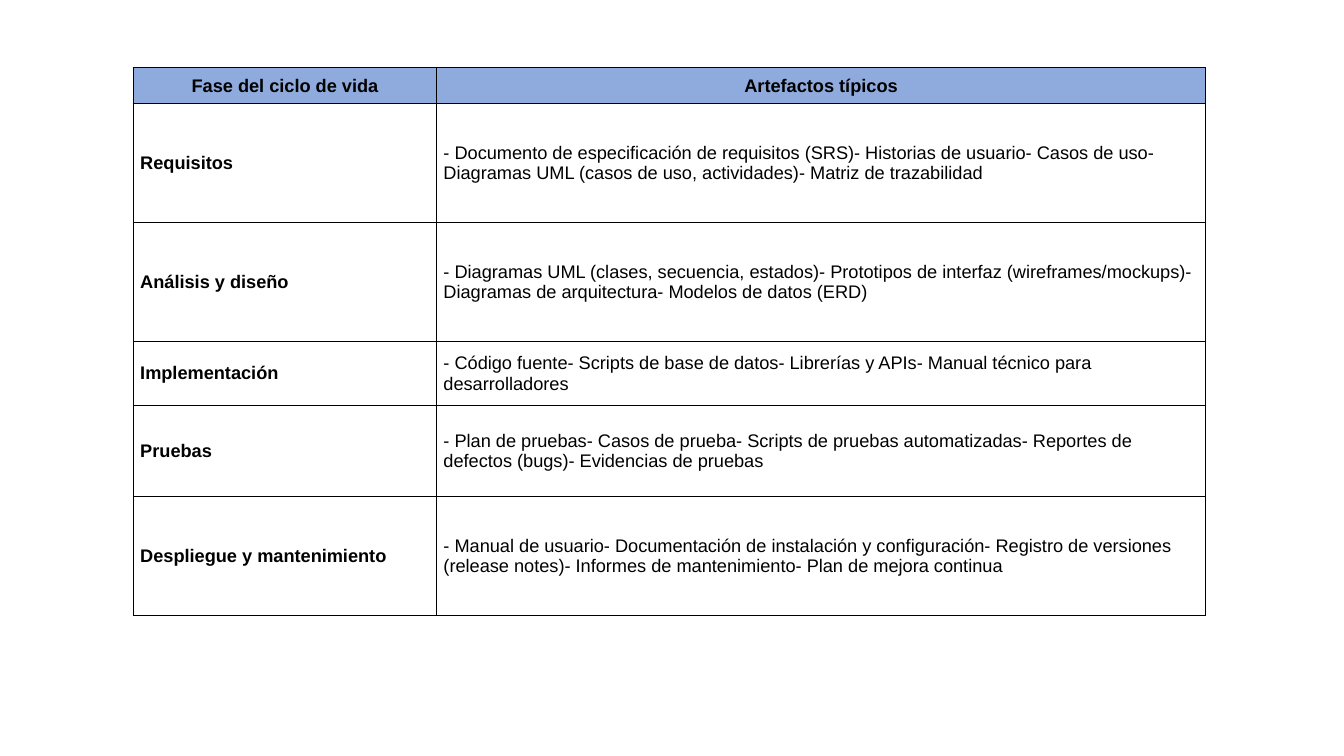
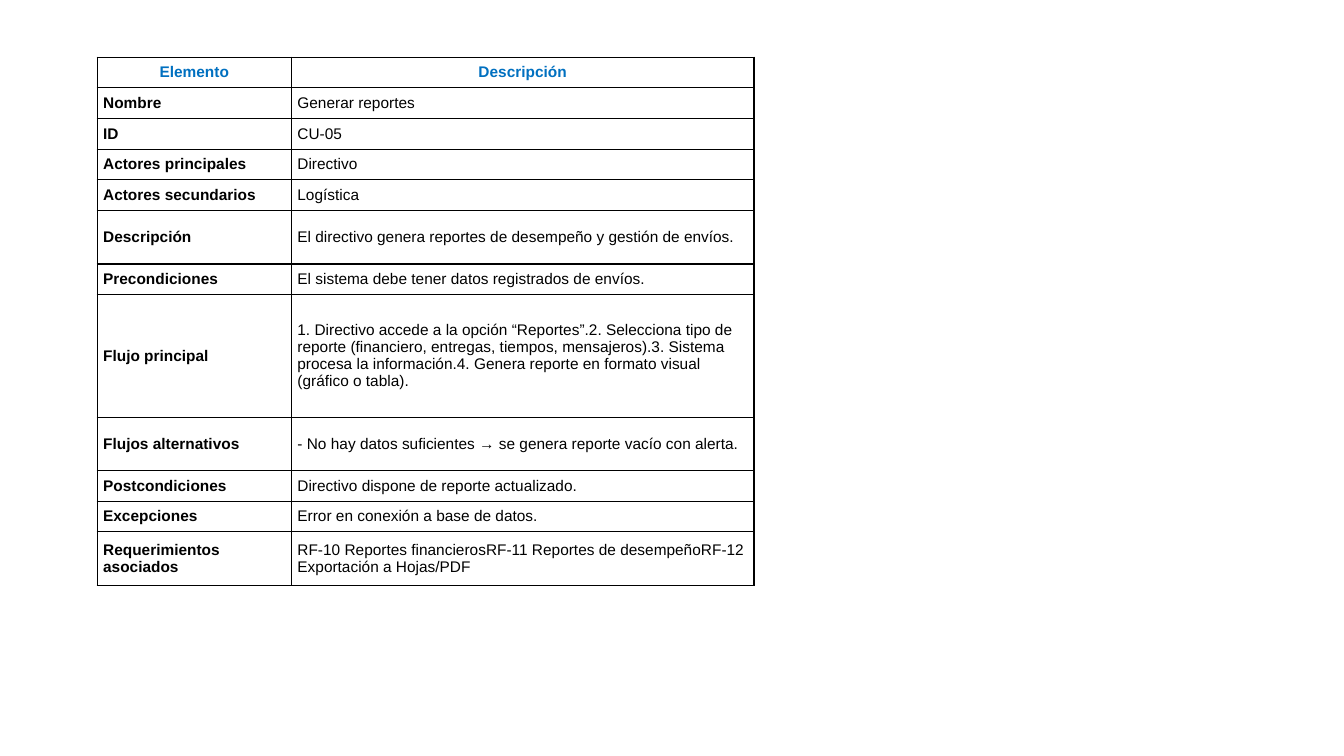
from lxml import etree
from pptx import Presentation
from pptx.dml.color import RGBColor
from pptx.enum.text import MSO_ANCHOR, PP_ALIGN
from pptx.oxml.ns import qn
from pptx.util import Pt

MIDDLE = MSO_ANCHOR.MIDDLE
LEFT, CENTER = PP_ALIGN.LEFT, PP_ALIGN.CENTER

COLORS = {"ink": "000000", "header_band": "8FAADC", "header_text": "0070C0"}
FONT = "Arial"
BORDER = Pt(1)

ARTIFACT_ROWS = [
    (25.9, "Fase del ciclo de vida", "Artefactos típicos"),
    (85, "Requisitos",
     "- Documento de especificación de requisitos (SRS)- Historias de usuario- "
     "Casos de uso- Diagramas UML (casos de uso, actividades)- Matriz de trazabilidad"),
    (85, "Análisis y diseño",
     "- Diagramas UML (clases, secuencia, estados)- Prototipos de interfaz "
     "(wireframes/mockups)- Diagramas de arquitectura- Modelos de datos (ERD)"),
    (45.5, "Implementación",
     "- Código fuente- Scripts de base de datos- Librerías y APIs- Manual técnico "
     "para desarrolladores"),
    (65.2, "Pruebas",
     "- Plan de pruebas- Casos de prueba- Scripts de pruebas automatizadas- "
     "Reportes de defectos (bugs)- Evidencias de pruebas"),
    (85, "Despliegue y mantenimiento",
     "- Manual de usuario- Documentación de instalación y configuración- Registro "
     "de versiones (release notes)- Informes de mantenimiento- Plan de mejora continua"),
]

ONE_LINE, TWO_LINES, FLOW = 21.9, 38.2, 87.6
USE_CASE_ROWS = [
    (ONE_LINE, "Elemento", "Descripción"),
    (ONE_LINE, "Nombre", "Generar reportes"),
    (ONE_LINE, "ID", "CU-05"),
    (ONE_LINE, "Actores principales", "Directivo"),
    (ONE_LINE, "Actores secundarios", "Logística"),
    (TWO_LINES, "Descripción",
     "El directivo genera reportes de desempeño y gestión de envíos."),
    (ONE_LINE, "Precondiciones", "El sistema debe tener datos registrados de envíos."),
    (FLOW, "Flujo principal",
     "1. Directivo accede a la opción “Reportes”.2. Selecciona tipo de reporte "
     "(financiero, entregas, tiempos, mensajeros).3. Sistema procesa la "
     "información.4. Genera reporte en formato visual (gráfico o tabla)."),
    (TWO_LINES, "Flujos alternativos",
     "- No hay datos suficientes → se genera reporte vacío con alerta."),
    (ONE_LINE, "Postcondiciones", "Directivo dispone de reporte actualizado."),
    (ONE_LINE, "Excepciones", "Error en conexión a base de datos."),
    (TWO_LINES, "Requerimientos asociados",
     "RF-10 Reportes financierosRF-11 Reportes de desempeñoRF-12 Exportación a "
     "Hojas/PDF"),
]


def rgb(name):
    return RGBColor.from_string(COLORS[name])


def set_fill(cell, color):
    if color:
        cell.fill.solid()
        cell.fill.fore_color.rgb = rgb(color)
    else:
        cell.fill.background()


def set_borders(cell):
    """Draw all four sides; the schema wants them ahead of the cell fill."""
    properties = cell._tc.get_or_add_tcPr()
    for position, side in enumerate(("a:lnL", "a:lnR", "a:lnT", "a:lnB")):
        line = etree.Element(qn(side), w=str(BORDER))
        fill = etree.SubElement(line, qn("a:solidFill"))
        etree.SubElement(fill, qn("a:srgbClr"), val=COLORS["ink"])
        properties.insert(position, line)


def write_cell(cell, text, size, color, bold, align, insets):
    cell.vertical_anchor = MIDDLE
    cell.margin_left = cell.margin_right = Pt(insets[0])
    cell.margin_top = cell.margin_bottom = Pt(insets[1])
    para = cell.text_frame.paragraphs[0]
    para.text = text
    para.alignment = align
    font = para.runs[0].font
    font.name, font.size, font.bold = FONT, Pt(size), bold
    font.color.rgb = rgb(color)


def add_definition_table(page, box, first_width, rows, size, insets,
                         header_fill=None, header_color="ink"):
    """Two columns: bold terms on the left, plain details on the right."""
    left, top, width = box
    height = sum(row[0] for row in rows)
    table = page.shapes.add_table(len(rows), 2, Pt(left), Pt(top),
                                  Pt(width), Pt(height)).table
    table.horz_banding = False
    table.columns[0].width = Pt(first_width)
    table.columns[1].width = Pt(width - first_width)
    for row_index, (row_height, *texts) in enumerate(rows):
        table.rows[row_index].height = Pt(row_height)
        header = row_index == 0
        for column, text in enumerate(texts):
            cell = table.cell(row_index, column)
            write_cell(cell, text, size, header_color if header else "ink",
                       header or column == 0, CENTER if header else LEFT, insets)
            set_fill(cell, header_fill if header else None)
            set_borders(cell)


def add_page(deck):
    return deck.slides.add_slide(deck.slide_layouts[6])


def main():
    deck = Presentation()
    deck.slide_width, deck.slide_height = Pt(960), Pt(540)
    add_definition_table(add_page(deck), (95.2, 48.3, 765.9), 216.6, ARTIFACT_ROWS,
                         13, (5, 2.6), header_fill="header_band")
    add_definition_table(add_page(deck), (69.4, 40.9, 469.2), 138.8, USE_CASE_ROWS,
                         11, (4.3, 2.2), header_color="header_text")
    deck.save("out.pptx")


if __name__ == "__main__":
    main()
